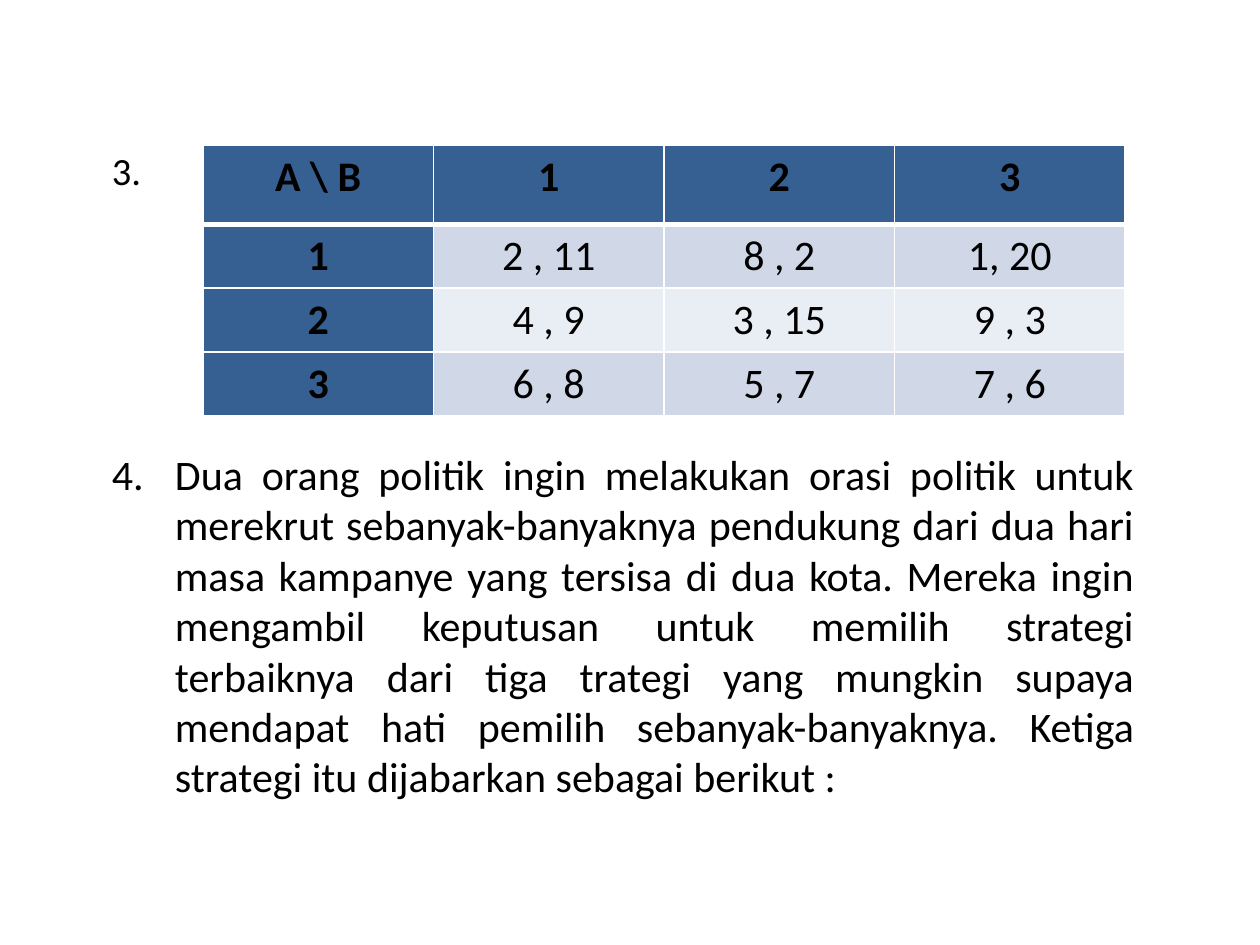
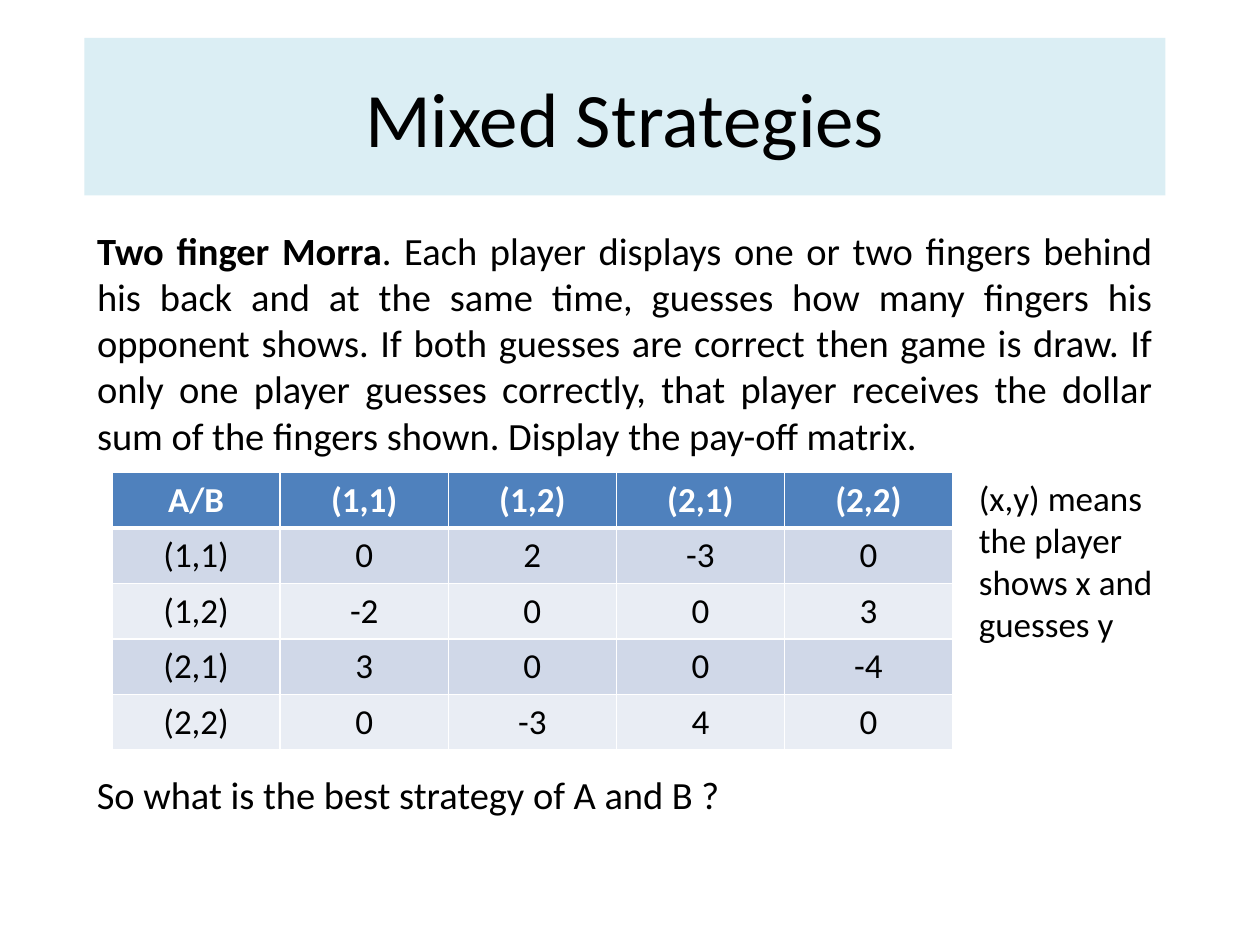
import dataclasses

import lxml.etree
import pptx
import pptx.dml.color
import pptx.enum.text
import pptx.oxml.ns
import pptx.util

ALIGN = pptx.enum.text.PP_ALIGN
COLUMNS, ROWS = 40, 30


@dataclasses.dataclass(frozen=True)
class Theme:
    font: str = "Calibri"
    ink: str = "000000"
    white: str = "FFFFFF"
    title_band: str = "DBEEF4"
    dark_head: str = "376092"
    blue_head: str = "4F81BD"
    stripes: tuple = ("D0D8E8", "E9EDF4")
    title: int = 44
    large: int = 24
    body: int = 22
    small: int = 20
    thin_rule: int = 1
    head_rule: int = 3


THEME = Theme()


@dataclasses.dataclass(frozen=True)
class Box:
    """An area of the slide, measured in grid columns and rows."""
    left: float
    top: float
    width: float
    height: float

    def inner(self, left, top, width, height):
        return Box(self.left + left, self.top + top, width, height)


def across(deck, columns):
    return round(deck.slide_width * columns / COLUMNS)


def down(deck, rows):
    return round(deck.slide_height * rows / ROWS)


def place(deck, shape, box):
    shape.left, shape.top = across(deck, box.left), down(deck, box.top)
    shape.width, shape.height = across(deck, box.width), down(deck, box.height)


def colour(code):
    return pptx.dml.color.RGBColor.from_string(code)


# Text

def add_span(para, text, size, bold=False, ink=THEME.ink):
    span = para.add_run()
    span.text = text
    span.font.name = THEME.font
    span.font.size = pptx.util.Pt(size)
    span.font.bold = bold
    span.font.color.rgb = colour(ink)


def set_indent(para, left, first):
    settings = para._p.get_or_add_pPr()
    settings.set("marL", str(left))
    settings.set("indent", str(first))
    return settings


def add_text(deck, page, box, text, size, align=ALIGN.LEFT):
    shape = page.shapes.add_textbox(0, 0, 0, 0)
    place(deck, shape, box)
    shape.text_frame.word_wrap = True
    para = shape.text_frame.paragraphs[0]
    para.alignment = align
    add_span(para, text, size)
    return para


def fill_placeholder(deck, shape, box, spans, size, align):
    place(deck, shape, box)
    shape.text_frame.auto_size = pptx.enum.text.MSO_AUTO_SIZE.NONE
    para = shape.text_frame.paragraphs[0]
    para.alignment = align
    para.space_before = pptx.util.Pt(0)
    settings = set_indent(para, 0, 0)
    lxml.etree.SubElement(settings, pptx.oxml.ns.qn("a:buNone"))
    for text, bold in spans:
        add_span(para, text, size, bold)


# Payoff tables

def rule_cell(cell, row):
    """Draw white cell edges, with a heavier rule under the header row."""
    edges = {"L": THEME.thin_rule, "R": THEME.thin_rule,
             "T": THEME.head_rule if row == 1 else THEME.thin_rule,
             "B": THEME.head_rule if row == 0 else THEME.thin_rule}
    settings = cell._tc.get_or_add_tcPr()
    for side, points in edges.items():
        line = lxml.etree.SubElement(settings, pptx.oxml.ns.qn("a:ln" + side),
                                     w=str(pptx.util.Pt(points)))
        paint = lxml.etree.SubElement(line, pptx.oxml.ns.qn("a:solidFill"))
        lxml.etree.SubElement(paint, pptx.oxml.ns.qn("a:srgbClr"), val=THEME.white)


def add_payoffs(deck, page, box, values, row_heights, size, head_fill, head_ink,
                row_heads=False):
    frame = page.shapes.add_table(len(values), len(values[0]), 0, 0, 0, 0)
    place(deck, frame, box)
    table = frame.table
    table.horz_banding = False
    for column in table.columns:
        column.width = across(deck, box.width / len(values[0]))
    for row, texts in enumerate(values):
        table.rows[row].height = down(deck, row_heights[row])
        for column, text in enumerate(texts):
            cell = table.cell(row, column)
            head = row == 0 or (row_heads and column == 0)
            rule_cell(cell, row)
            cell.fill.solid()
            cell.fill.fore_color.rgb = colour(
                head_fill if head else THEME.stripes[(row - 1) % 2])
            para = cell.text_frame.paragraphs[0]
            para.alignment = ALIGN.CENTER
            add_span(para, text, size, head, head_ink if head else THEME.ink)


# Slides

def build_exercises(deck, box):
    page = deck.slides.add_slide(deck.slide_layouts[6])

    # Exercise 3: payoff table beside its number
    payoffs = [["A \\ B", "1", "2", "3"],
               ["1", "2 , 11", "8 , 2", "1, 20"],
               ["2", "4 , 9", "3 , 15", "9 , 3"],
               ["3", "6 , 8", "5 , 7", "7 , 6"]]
    add_payoffs(deck, page, box.inner(3.28, 0.12, 29.28, 8.52), payoffs,
                [2.52, 2, 2, 2], THEME.large, THEME.dark_head, THEME.ink, row_heads=True)
    add_text(deck, page, box.inner(0, 0, 1.72, 1.88), "3.", THEME.body)

    # Exercise 4: hanging paragraph
    para = add_text(
        deck, page, box.inner(0, 9.56, box.width, 11.72),
        "4.\tDua orang politik ingin melakukan orasi politik untuk merekrut "
        "sebanyak-banyaknya pendukung dari dua hari masa kampanye yang tersisa di dua "
        "kota. Mereka ingin mengambil keputusan untuk memilih strategi terbaiknya dari "
        "tiga trategi yang mungkin supaya mendapat hati pemilih sebanyak-banyaknya. "
        "Ketiga strategi itu dijabarkan sebagai berikut :",
        THEME.large, ALIGN.JUSTIFY)
    hang = across(deck, 2)
    set_indent(para, hang, -hang)


def build_mixed_strategies(deck, box):
    page = deck.slides.add_slide(deck.slide_layouts[1])

    # Title band
    title = page.shapes.title
    title.fill.solid()
    title.fill.fore_color.rgb = colour(THEME.title_band)
    fill_placeholder(deck, title, box.inner(0, 0, box.width, 5),
                     [("Mixed Strategies", False)], THEME.title, ALIGN.CENTER)

    # Rules of the game
    game_rules = (
        ". Each player displays one or two fingers behind his back and at the same "
        "time, guesses how many fingers his opponent shows. If both guesses are correct "
        "then game is draw. If only one player guesses correctly, that player receives "
        "the dollar sum of the fingers shown. Display the pay-off matrix.")
    fill_placeholder(deck, page.placeholders[1], box.inner(0, 5.8, box.width, 19.8),
                     [("Two finger Morra", True), (game_rules, False)],
                     THEME.body, ALIGN.JUSTIFY)

    # Payoff table with its note
    moves = ["(1,1)", "(1,2)", "(2,1)", "(2,2)"]
    payoffs = [[0, 2, -3, 0], [-2, 0, 0, 3], [3, 0, 0, -4], [0, -3, 4, 0]]
    values = [["A/B", *moves]]
    values += [[move, *map(str, row)] for move, row in zip(moves, payoffs)]
    add_payoffs(deck, page, box.inner(0.88, 13.8, 26.68, 8.7), values,
                [1.74] * len(values), THEME.small, THEME.blue_head, THEME.white)
    add_text(deck, page, box.inner(28, 13.72, 6.36, 5.8),
             "(x,y) means the player shows x and guesses y", THEME.small)

    # Closing question
    add_text(deck, page, box.inner(0, 23.08, 20.8, 1.88),
             "So what is the best strategy of A and B ?", THEME.body, ALIGN.JUSTIFY)


def main():
    deck = pptx.Presentation()
    deck.slide_width = pptx.util.Inches(10)
    deck.slide_height = pptx.util.Inches(7.5)
    build_exercises(deck, Box(3.16, 4.48, 33.24, 21.28))
    build_mixed_strategies(deck, Box(2.68, 1.2, 34.32, 25.6))
    deck.save("out.pptx")


if __name__ == "__main__":
    main()
